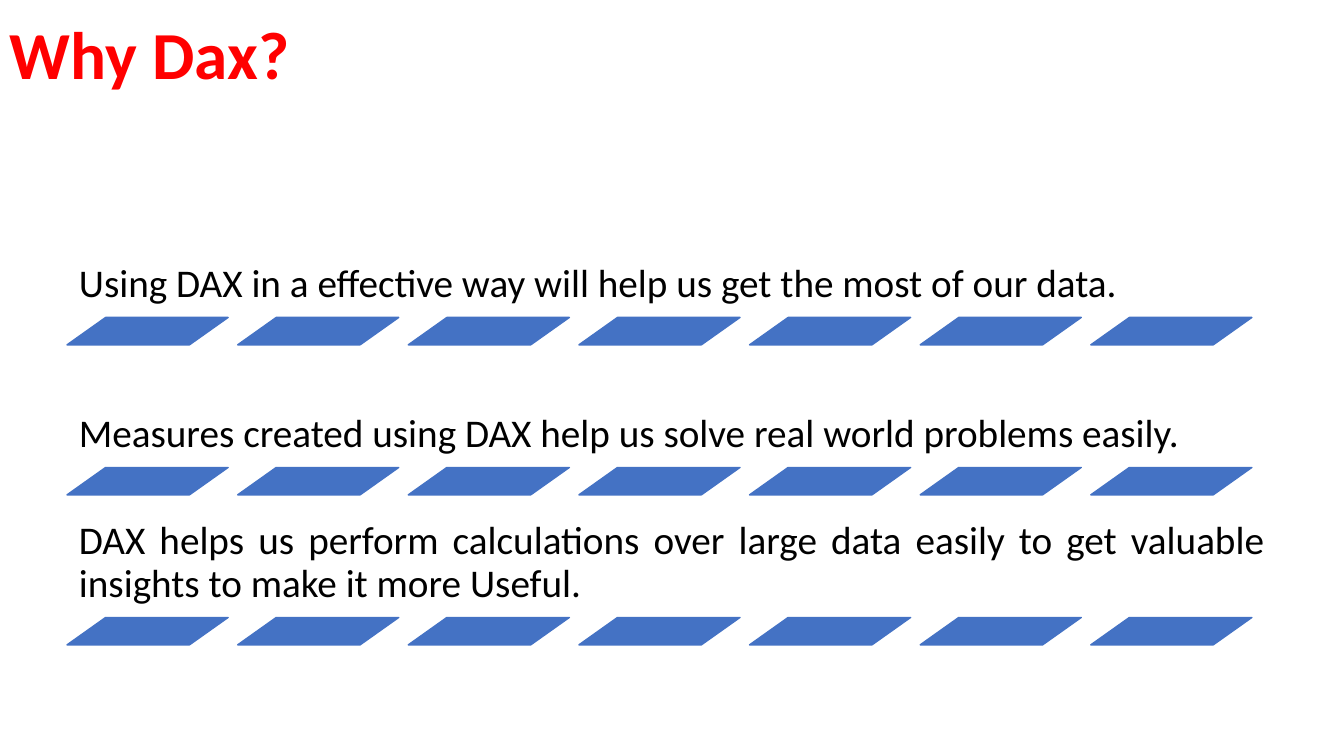
from pptx import Presentation
from pptx.dml.color import RGBColor
from pptx.enum.shapes import MSO_SHAPE as Preset
from pptx.enum.text import MSO_ANCHOR as Anchor, PP_ALIGN as Align
from pptx.util import Cm, Pt

TITLE = "Why Dax?"
REASONS = [
    "Using DAX in a effective way will help us get the most of our data.",
    "Measures created using DAX help us solve real world problems easily.",
    "DAX helps us perform calculations over large data easily to get valuable "
    "insights to make it more Useful.",
]

BAR_COLOR = RGBColor(0x44, 0x72, 0xC4)
THEME = {
    "title": {"name": "Calibri", "size": Pt(48), "bold": True, "color": RGBColor(255, 0, 0)},
    "reason": {"name": "Calibri", "size": Pt(28), "bold": False, "color": RGBColor(0, 0, 0)},
    "bar": BAR_COLOR,
    "bar_line": Pt(1),
}

SLIDE_SIZE = (33.87, 19.05)
TITLE_BOX = (0, 0, 11.71, 2.9)
TITLE_INSETS = (0.25, 0.13, 0.25, 0.13)
REASON_INSETS = (0.3, 0.3, 0.3, 0.3)
LEFT, TOP = 1.69, 5.23
REASON_WIDTH, REASON_HEIGHT = 30.48, 2.77
ROW_STEP = 3.78
BAR_COUNT = 7
BAR_WIDTH, BAR_HEIGHT = 4.06, 0.69
BAR_STEP = 4.3
BAR_SLANT = 1.41


def add_text(slide, text, box, insets, anchor, style):
    shape = slide.shapes.add_textbox(*map(Cm, box))
    frame = shape.text_frame
    sides = ("margin_left", "margin_top", "margin_right", "margin_bottom")
    settings = {"word_wrap": True, "vertical_anchor": anchor}
    settings.update(zip(sides, map(Cm, insets)))
    for name, value in settings.items():
        setattr(frame, name, value)
    paragraph = frame.paragraphs[0]
    paragraph.text = text
    paragraph.alignment = Align.JUSTIFY
    paragraph.line_spacing = 0.9
    font = paragraph.runs[0].font
    for name in ("name", "size", "bold"):
        setattr(font, name, style[name])
    font.color.rgb = style["color"]


def add_bar(slide, left, top):
    shape = slide.shapes.add_shape(
        Preset.PARALLELOGRAM, Cm(left), Cm(top), Cm(BAR_WIDTH), Cm(BAR_HEIGHT))
    shape.adjustments[0] = BAR_SLANT
    shape.shadow.inherit = False
    for fill in (shape.fill, shape.line.fill):
        fill.solid()
        fill.fore_color.rgb = THEME["bar"]
    shape.line.width = THEME["bar_line"]


def main():
    presentation = Presentation()
    presentation.slide_width, presentation.slide_height = map(Cm, SLIDE_SIZE)
    slide = presentation.slides.add_slide(presentation.slide_layouts[6])
    add_text(slide, TITLE, TITLE_BOX, TITLE_INSETS, Anchor.MIDDLE, THEME["title"])
    for row, reason in enumerate(REASONS):
        top = TOP + row * ROW_STEP
        box = (LEFT, top, REASON_WIDTH, REASON_HEIGHT)
        add_text(slide, reason, box, REASON_INSETS, Anchor.BOTTOM, THEME["reason"])
        for column in range(BAR_COUNT):
            add_bar(slide, LEFT + column * BAR_STEP, top + REASON_HEIGHT)
    presentation.save("out.pptx")


if __name__ == "__main__":
    main()
